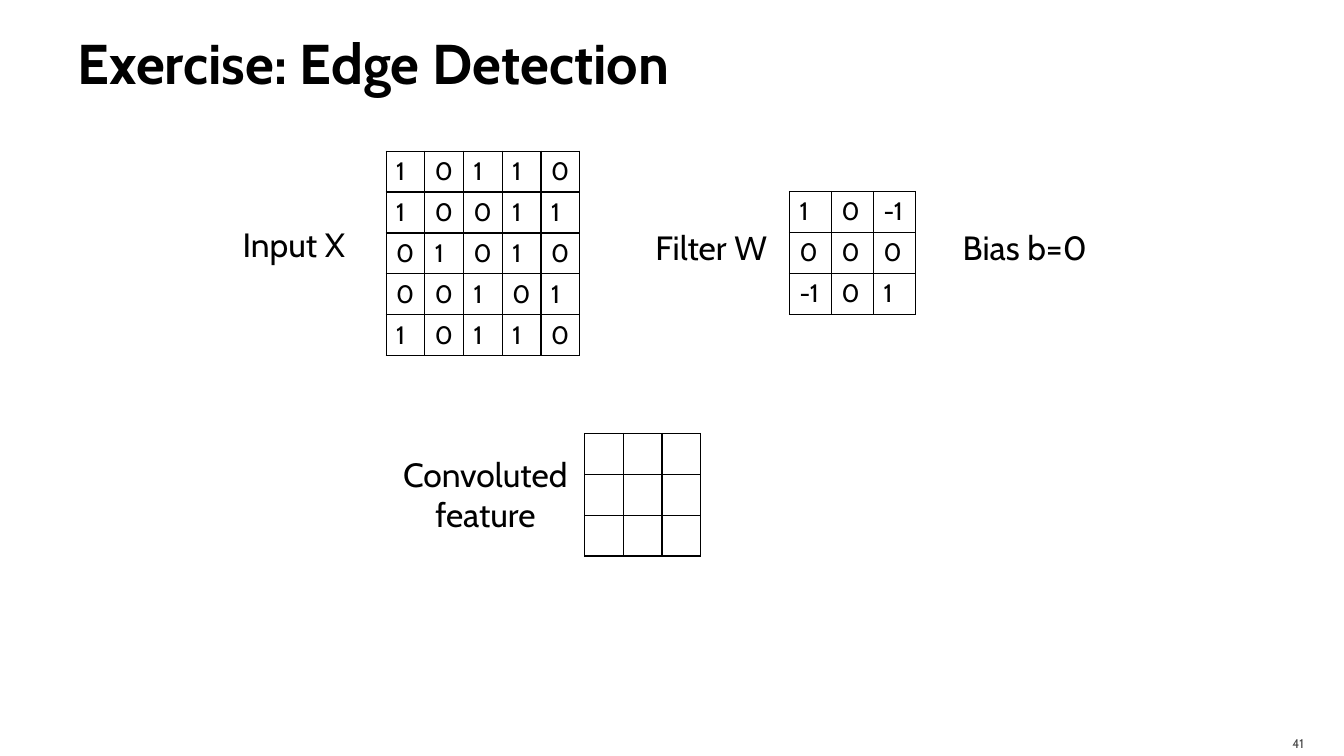
"""Build the edge detection exercise slide with its input, filter and result grids."""
from dataclasses import dataclass

from lxml.etree import SubElement
from pptx import Presentation
from pptx.dml.color import RGBColor
from pptx.enum.text import MSO_ANCHOR, MSO_AUTO_SIZE, PP_ALIGN
from pptx.oxml.ns import qn
from pptx.slide import Slide
from pptx.text.text import TextFrame
from pptx.util import Inches, Pt

BLACK = RGBColor(0x00, 0x00, 0x00)
GRAY = RGBColor(0x45, 0x45, 0x45)
WHITE = RGBColor(0xFF, 0xFF, 0xFF)
FONT = "Cabin"
ROW_HEIGHT = 0.4


@dataclass
class Label:
    text: str
    left: float
    top: float
    width: float = 1
    height: float = 1
    size: int = 24
    color: RGBColor = BLACK
    align: PP_ALIGN = PP_ALIGN.CENTER
    anchor: MSO_ANCHOR = MSO_ANCHOR.TOP
    wrap: bool = False
    insets: tuple[float, float, float, float] = (0.1, 0, 0.05, 0)


@dataclass
class Matrix:
    rows: list[list[str]]
    left: float
    top: float
    width: float


TITLE = Label("Exercise: Edge Detection", 0.67, 0.08, 12, 1.08, 40,
              align=PP_ALIGN.LEFT, anchor=MSO_ANCHOR.MIDDLE, wrap=True,
              insets=(0.1, 0.05, 0.05, 0.05))
LABELS = [
    Label("41", 11.96, 7.2, 1.07, 0.3, 9, GRAY, PP_ALIGN.RIGHT,
          MSO_ANCHOR.MIDDLE, True, (0.1, 0.05, 0.1, 0)),
    Label("Input X", 2.39, 2.22),
    Label("Filter W", 6.53, 2.25),
    Label("Bias b=0", 9.64, 2.25),
    Label("Convoluted\vfeature", 4.29, 4.5),
]
MATRICES = [
    Matrix([r.split() for r in ("1 0 1 1 0", "1 0 0 1 1", "0 1 0 1 0",
                                "0 0 1 0 1", "1 0 1 1 0")], 3.83, 1.5, 1.92),
    Matrix([r.split() for r in ("1 0 -1", "0 0 0", "-1 0 1")], 7.83, 1.9, 1.25),
    Matrix([[""] * 3] * 3, 5.8, 4.3, 1.15),
]


def format_text(tf: TextFrame, size: int, color: RGBColor, bold: bool = False) -> None:
    """Apply the slide font to the first paragraph of a text frame."""
    font = tf.paragraphs[0].font
    for name, value in {"name": FONT, "size": Pt(size), "bold": bold}.items():
        setattr(font, name, value)
    font.color.rgb = color


def fill_label(sp, label: Label, bold: bool = False) -> None:
    """Place a text shape and write its label."""
    box = {"left": label.left, "top": label.top,
           "width": label.width, "height": label.height}
    for name, value in box.items():
        setattr(sp, name, Inches(value))
    tf = sp.text_frame
    tf.text = label.text
    frame = {"auto_size": MSO_AUTO_SIZE.NONE, "word_wrap": label.wrap,
             "vertical_anchor": label.anchor}
    sides = ("margin_left", "margin_top", "margin_right", "margin_bottom")
    frame.update(zip(sides, map(Inches, label.insets)))
    for name, value in frame.items():
        setattr(tf, name, value)
    tf.paragraphs[0].alignment = label.align
    format_text(tf, label.size, label.color, bold)


def add_borders(cell) -> None:
    """Draw a thin black line on all four sides of a cell."""
    properties = cell._tc.get_or_add_tcPr()
    for side in ("lnL", "lnR", "lnT", "lnB"):
        line = SubElement(properties, qn(f"a:{side}"), w=str(Pt(1)))
        fill = SubElement(line, qn("a:solidFill"))
        SubElement(fill, qn("a:srgbClr"), val=str(BLACK))


def add_matrix(s: Slide, matrix: Matrix) -> None:
    """Add a bordered grid of numbers."""
    n_rows, n_cols = len(matrix.rows), len(matrix.rows[0])
    table = s.shapes.add_table(
        n_rows, n_cols, Inches(matrix.left), Inches(matrix.top),
        Inches(matrix.width), Inches(ROW_HEIGHT * n_rows)).table
    table.first_row = table.horz_banding = False
    for i, row in enumerate(matrix.rows):
        for j, value in enumerate(row):
            cell = table.cell(i, j)
            cell.text = value
            format_text(cell.text_frame, 18, BLACK)
            add_borders(cell)
            cell.fill.solid()
            cell.fill.fore_color.rgb = WHITE


def main() -> None:
    """Create the presentation and save it."""
    prs = Presentation()
    prs.slide_width, prs.slide_height = Inches(13.33), Inches(7.5)
    s = prs.slides.add_slide(prs.slide_layouts[5])
    fill_label(s.shapes.title, TITLE, bold=True)
    for label in LABELS:
        fill_label(s.shapes.add_textbox(0, 0, 0, 0), label)
    for matrix in MATRICES:
        add_matrix(s, matrix)
    prs.save("out.pptx")


if __name__ == "__main__":
    main()
